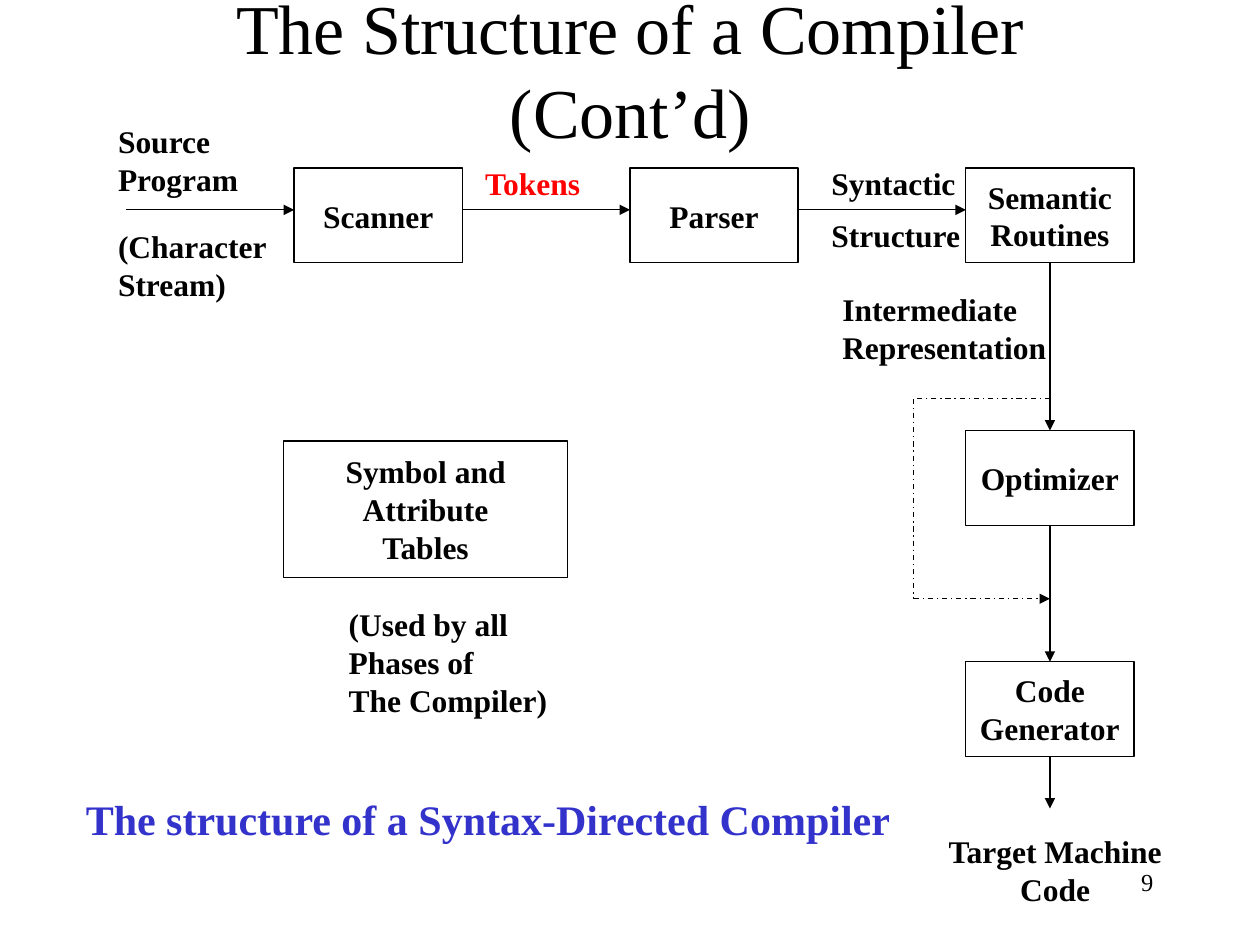
from dataclasses import dataclass
from typing import Optional

from lxml import etree
from pptx import Presentation
from pptx.dml.color import RGBColor
from pptx.enum.dml import MSO_LINE
from pptx.enum.shapes import MSO_CONNECTOR, MSO_SHAPE
from pptx.enum.text import MSO_ANCHOR, MSO_AUTO_SIZE, PP_ALIGN
from pptx.oxml.ns import qn
from pptx.util import Cm, Pt

LEFT, CENTER, RIGHT = PP_ALIGN.LEFT, PP_ALIGN.CENTER, PP_ALIGN.RIGHT
TOP, MIDDLE = MSO_ANCHOR.TOP, MSO_ANCHOR.MIDDLE
DASH_DOT = MSO_LINE.DASH_DOT
BOTTOM_SITE, TOP_SITE = 2, 0

FONT = "Times New Roman"
COLORS = {"ink": "000000", "token": "FF0000", "caption": "3333CC"}

# Lengths in centimetres
BOX_WIDTH, BOX_HEIGHT = 3.39, 1.91
FIRST_COLUMN, COLUMN_STEP = 5.93, 6.77
COLUMNS = [FIRST_COLUMN + COLUMN_STEP * index for index in range(3)]
ROWS = [3.39, 8.68, 13.34]
FLOW_Y = 4.23
FLOW_X = COLUMNS[2] + BOX_WIDTH / 2
BYPASS_X, BYPASS_TOP, BYPASS_BOTTOM = 18.42, 8.04, 12.07


@dataclass
class Box:
    lines: list[str]
    left: float
    top: float
    width: float = BOX_WIDTH
    height: float = BOX_HEIGHT


@dataclass
class Label:
    lines: list[str]
    left: float
    top: float
    width: float
    height: float
    color: str = "ink"
    size: int = 18
    bold: bool = True
    align: PP_ALIGN = LEFT
    anchor: MSO_ANCHOR = TOP
    wrap: bool = False
    side_inset: float = 0.25


@dataclass
class Line:
    start: tuple[float, float]
    end: tuple[float, float]
    arrow: bool = True
    dash: Optional[MSO_LINE] = None


BOXES = {
    "scanner": Box(["Scanner"], COLUMNS[0], ROWS[0]),
    "parser": Box(["Parser"], COLUMNS[1], ROWS[0]),
    "semantic": Box(["Semantic", "Routines"], COLUMNS[2], ROWS[0]),
    "optimizer": Box(["Optimizer"], COLUMNS[2], ROWS[1]),
    "generator": Box(["Code", "Generator"], COLUMNS[2], ROWS[2]),
    "tables": Box(["Symbol and", "Attribute", "Tables"], 5.72, 8.89, 5.72, 2.75),
}

LABELS = [
    Label(["The Structure of a Compiler (Cont’d)"], 1.91, 0.64, 21.59, 1.47,
          size=40, bold=False, align=CENTER, anchor=MIDDLE, wrap=True, side_inset=0.5),
    Label(["Source", "Program"], 2.13, 2.33, 3.0, 1.78),
    Label(["(Character", "Stream)"], 2.13, 4.45, 3.6, 1.78),
    Label(["Tokens"], 9.53, 3.18, 2.55, 1.02, color="token"),
    Label(["Syntactic"], 16.51, 3.18, 3.1, 1.02),
    Label(["Structure"], 16.51, 4.23, 3.2, 1.02),
    Label(["Intermediate", "Representation"], 16.73, 5.72, 4.7, 1.78),
    Label(["Target Machine", "Code"], 18.82, 16.64, 4.9, 1.78, align=CENTER),
    Label(["(Used by all", "Phases of", "The Compiler)"], 6.78, 12.07, 4.6, 2.54),
    Label(["The structure of a Syntax-Directed Compiler"], 1.48, 15.86, 16.8, 1.27,
          color="caption", size=24),
    Label(["9"], 18.21, 17.34, 5.29, 1.27, size=14, bold=False, align=RIGHT, wrap=True),
]

LINES = [
    # Flow along the top row
    Line((2.54, FLOW_Y), (COLUMNS[0], FLOW_Y)),
    Line((COLUMNS[0] + BOX_WIDTH, FLOW_Y), (COLUMNS[1], FLOW_Y)),
    Line((COLUMNS[1] + BOX_WIDTH, FLOW_Y), (COLUMNS[2], FLOW_Y)),
    # Bypass around the optimizer
    Line((FLOW_X, BYPASS_TOP), (BYPASS_X, BYPASS_TOP), False, DASH_DOT),
    Line((BYPASS_X, BYPASS_TOP), (BYPASS_X, BYPASS_BOTTOM), False, DASH_DOT),
    Line((BYPASS_X, BYPASS_BOTTOM), (FLOW_X, BYPASS_BOTTOM), True, DASH_DOT),
]


def rgb(name: str) -> RGBColor:
    return RGBColor.from_string(COLORS[name])


def write_text(shape, label: Label) -> None:
    frame = shape.text_frame
    frame.word_wrap = label.wrap
    frame.vertical_anchor = label.anchor
    frame.margin_left = frame.margin_right = Cm(label.side_inset)
    frame.margin_top = frame.margin_bottom = Cm(0.13)
    for index, line in enumerate(label.lines):
        paragraph = frame.add_paragraph() if index else frame.paragraphs[0]
        paragraph.alignment = label.align
        run = paragraph.add_run()
        run.text = line
        run.font.name = FONT
        run.font.size = Pt(label.size)
        run.font.bold = label.bold
        run.font.color.rgb = rgb(label.color)


def draw_box(slide, box: Box):
    place = (box.left, box.top, box.width, box.height)
    shape = slide.shapes.add_shape(MSO_SHAPE.RECTANGLE, *map(Cm, place))
    shape.shadow.inherit = False
    shape.fill.background()
    shape.line.color.rgb = rgb("ink")
    shape.line.width = Pt(0.75)
    write_text(shape, Label(box.lines, *place, align=CENTER, anchor=MIDDLE))
    return shape


def draw_label(slide, label: Label) -> None:
    shape = slide.shapes.add_textbox(
        Cm(label.left), Cm(label.top), Cm(label.width), Cm(label.height))
    write_text(shape, label)
    if not label.wrap:
        shape.text_frame.auto_size = MSO_AUTO_SIZE.SHAPE_TO_FIT_TEXT


def draw_line(slide, line: Line):
    connector = slide.shapes.add_connector(
        MSO_CONNECTOR.STRAIGHT, *map(Cm, line.start + line.end))
    connector.line.color.rgb = rgb("ink")
    connector.line.width = Pt(0.75)
    if line.dash is not None:
        connector.line.dash_style = line.dash
    if line.arrow:
        outline = connector.line._get_or_add_ln()
        etree.SubElement(outline, qn("a:tailEnd"), type="triangle")
    etree.SubElement(connector._element.spPr, qn("a:effectLst"))
    return connector


def main() -> None:
    presentation = Presentation()
    presentation.slide_width, presentation.slide_height = Cm(25.4), Cm(19.05)
    slide = presentation.slides.add_slide(presentation.slide_layouts[6])

    # Compiler phases
    shapes = {name: draw_box(slide, box) for name, box in BOXES.items()}

    for line in LINES:
        draw_line(slide, line)

    # Flow down the right column
    for upper, lower in (("semantic", "optimizer"), ("optimizer", "generator")):
        start_y = BOXES[upper].top + BOX_HEIGHT
        connector = draw_line(slide, Line((FLOW_X, start_y), (FLOW_X, BOXES[lower].top)))
        connector.begin_connect(shapes[upper], BOTTOM_SITE)
        connector.end_connect(shapes[lower], TOP_SITE)
    output = draw_line(slide, Line((FLOW_X, ROWS[2] + BOX_HEIGHT), (FLOW_X, 16.3)))
    output.begin_connect(shapes["generator"], BOTTOM_SITE)

    # Title, labels, caption and page number
    for label in LABELS:
        draw_label(slide, label)

    presentation.save("out.pptx")


if __name__ == "__main__":
    main()
